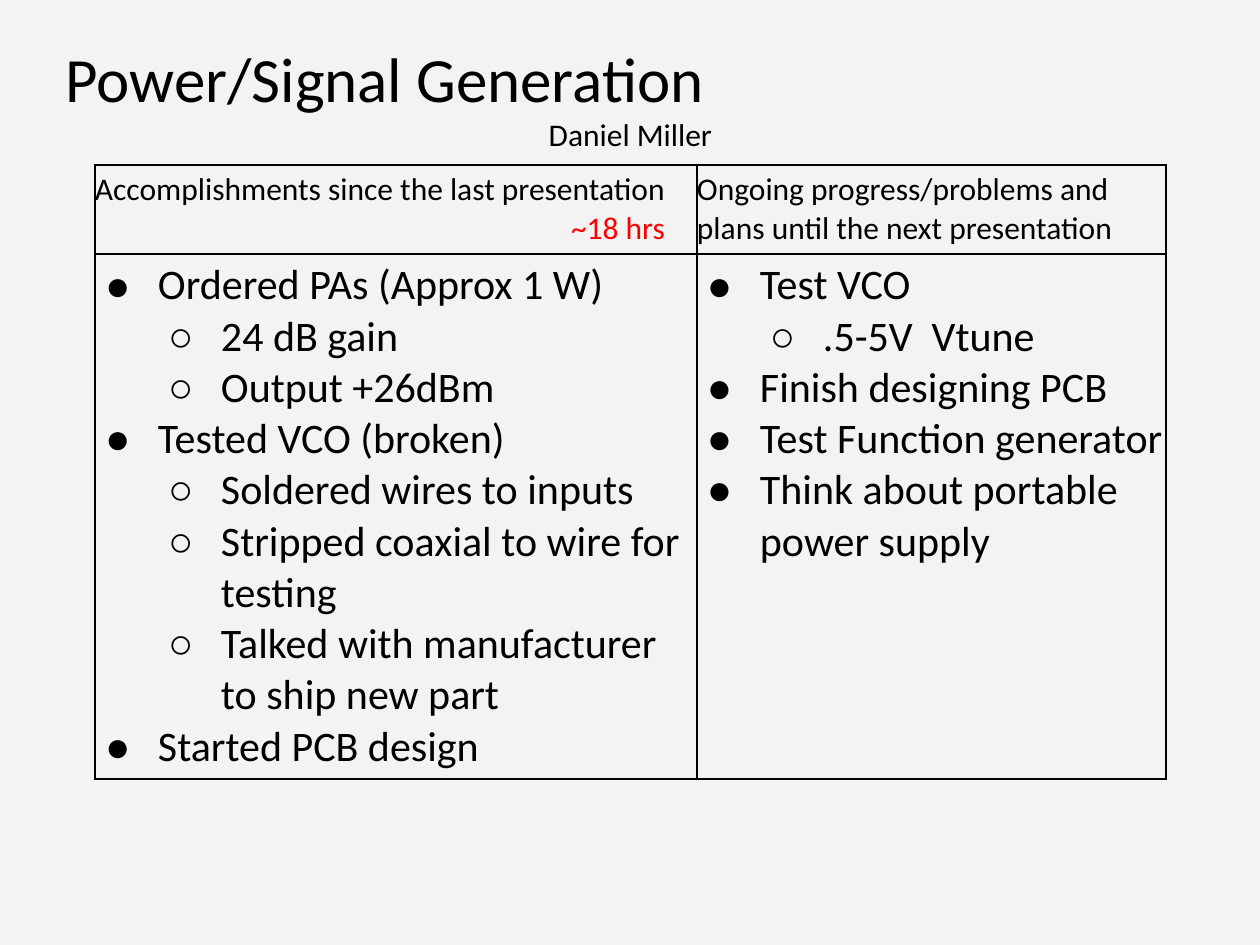
from dataclasses import dataclass

from lxml import etree
from pptx import Presentation
from pptx.dml.color import RGBColor
from pptx.enum import text
from pptx.oxml.ns import qn
from pptx.util import Emu, Pt

EMU_PER_PX = 914400 / 126
FONT = "Calibri"
BLACK, RED, PAPER = "000000", "FF0000", "F3F3F3"
BULLETS = "●○"


@dataclass
class Line:
    words: str
    size: int = 24
    color: str = BLACK
    level: int | None = None  # bullet level, None for plain text
    indent: int = 0
    align: text.PP_ALIGN = text.PP_ALIGN.LEFT


def px(length: int) -> Emu:
    return Emu(round(length * EMU_PER_PX))


def rgb(color: str) -> RGBColor:
    return RGBColor.from_string(color)


def add_bullet(para, level: int) -> None:
    para.level = level
    props = para._p.get_or_add_pPr()
    props.set("marL", str(px(63 * (level + 1))))
    props.set("indent", str(-px(53)))
    tint = etree.SubElement(props, qn("a:buClr"))
    etree.SubElement(tint, qn("a:srgbClr"), val=BLACK)
    etree.SubElement(props, qn("a:buFont"), typeface="Arial")
    etree.SubElement(props, qn("a:buChar"), char=BULLETS[level])


def write_lines(frame, lines: list[Line]) -> None:
    frame.word_wrap = True
    for number, line in enumerate(lines):
        para = frame.add_paragraph() if number else frame.paragraphs[0]
        para.alignment = line.align
        if line.level is not None:
            add_bullet(para, line.level)
        elif line.indent:
            para._p.get_or_add_pPr().set("marL", str(px(line.indent)))
        para.add_run().text = line.words
        para.font.name = FONT
        para.font.size = Pt(line.size)
        para.font.color.rgb = rgb(line.color)
        span_font = para.runs[0].font
        span_font.name, span_font.size = FONT, Pt(line.size)
        span_font.color.rgb = rgb(line.color)


def add_borders(cell) -> None:
    props = cell._tc.get_or_add_tcPr()
    for place, side in enumerate(("lnL", "lnR", "lnT", "lnB")):
        edge = etree.Element(qn(f"a:{side}"), w=str(Pt(1)))
        fill = etree.SubElement(edge, qn("a:solidFill"))
        etree.SubElement(fill, qn("a:srgbClr"), val=BLACK)
        props.insert(place, edge)


def fill_cell(cell, lines: list[Line]) -> None:
    cell.margin_left = cell.margin_right = 0
    cell.margin_top = cell.margin_bottom = px(6)
    cell.fill.background()
    add_borders(cell)
    write_lines(cell.text_frame, lines)


HEADING = [
    Line("Power/Signal Generation", 36),
    Line("Daniel Miller", 18, align=text.PP_ALIGN.CENTER),
]
COLUMNS, ROWS = (602, 469), (89, 525)
CELLS = [
    [
        [
            Line("Accomplishments since the last presentation", 18),
            Line("~18 hrs", 18, RED, indent=476),
        ],
        [Line("Ongoing progress/problems and plans until the next presentation", 18)],
    ],
    [
        [
            Line("Ordered PAs (Approx 1 W)", level=0),
            Line("24 dB gain", level=1),
            Line("Output +26dBm", level=1),
            Line("Tested VCO (broken)", level=0),
            Line("Soldered wires to inputs", level=1),
            Line("Stripped coaxial to wire for testing", level=1),
            Line("Talked with manufacturer  to ship new part", level=1),
            Line("Started PCB design", level=0),
        ],
        [
            Line("Test VCO", level=0),
            Line(".5-5V  Vtune", level=1),
            Line("Finish designing PCB", level=0),
            Line("Test Function generator", level=0),
            Line("Think about portable power supply", level=0),
        ],
    ],
]


def main() -> None:
    deck = Presentation()
    deck.slide_width, deck.slide_height = px(1260), px(945)
    page = deck.slides.add_slide(deck.slide_layouts[6])
    page.background.fill.solid()
    page.background.fill.fore_color.rgb = rgb(PAPER)

    # Title and presenter
    box = page.shapes.add_textbox(px(53), px(33), px(1155), px(89))
    write_lines(box.text_frame, HEADING)

    # Progress table
    frame = page.shapes.add_table(
        len(ROWS), len(COLUMNS), px(95), px(165), px(sum(COLUMNS)), px(sum(ROWS))
    )
    table = frame.table
    table.first_row = table.horz_banding = False
    for column, width in zip(table.columns, COLUMNS):
        column.width = px(width)
    for row, height, contents in zip(table.rows, ROWS, CELLS):
        row.height = px(height)
        for cell, lines in zip(row.cells, contents):
            fill_cell(cell, lines)

    deck.save("out.pptx")


if __name__ == "__main__":
    main()
